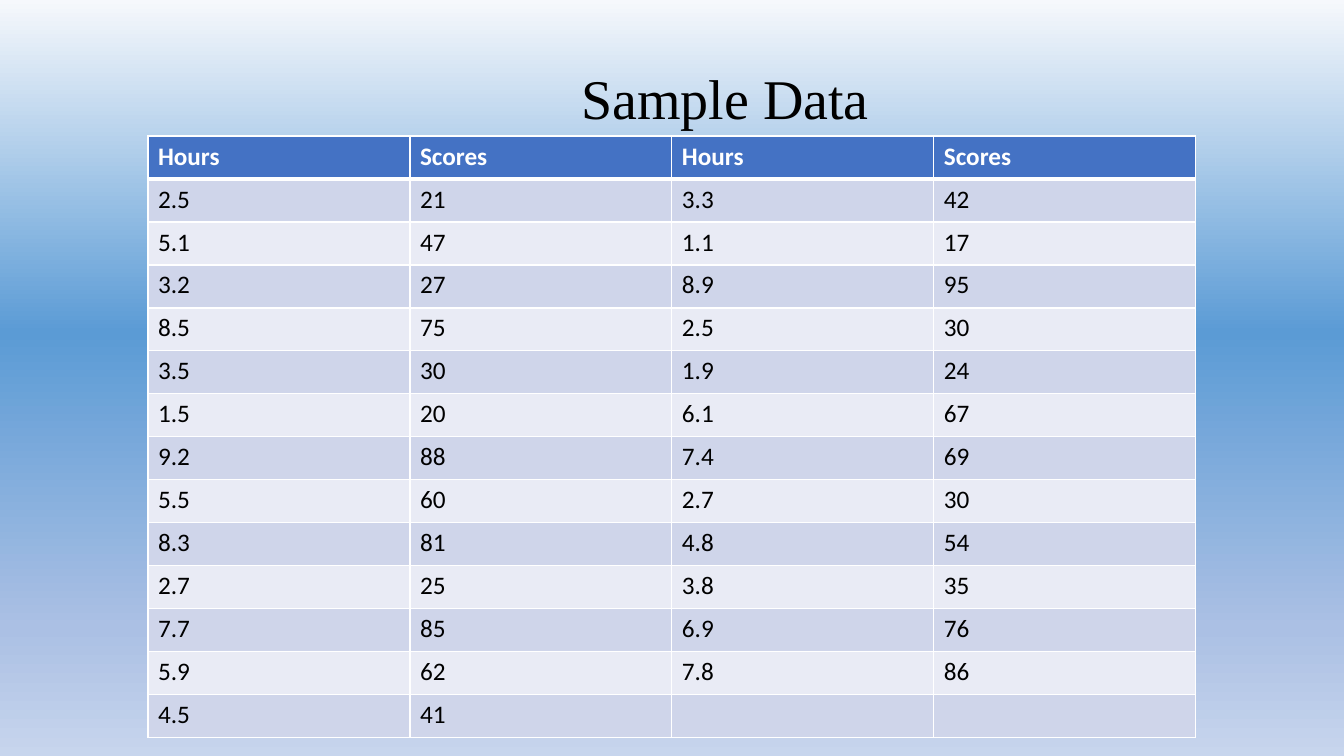
import copy

import pptx
import pptx.dml.color
import pptx.enum.text
import pptx.oxml
import pptx.oxml.ns
import pptx.util

EMU_PER_PIXEL = 914400 / 100.8
SLIDE_SIZE = (1344, 756)
TITLE_BOX = (570, 58, 310, 78)
TABLE_BOX = (148, 136, 1048, 602)
SKY_STOPS = [(0, "F6F8FC"), (44, "5B9BD5"), (83, "ABC0E4"), (100, "C7D5ED")]
HEADER_FILL = "4472C4"
BAND_FILLS = ["CFD5EA", "E9EBF5"]
HEADINGS = ["Hours", "Scores"] * 2
STUDY_RESULTS = [
    ("2.5", "21"), ("5.1", "47"), ("3.2", "27"), ("8.5", "75"), ("3.5", "30"),
    ("1.5", "20"), ("9.2", "88"), ("5.5", "60"), ("8.3", "81"), ("2.7", "25"),
    ("7.7", "85"), ("5.9", "62"), ("4.5", "41"), ("3.3", "42"), ("1.1", "17"),
    ("8.9", "95"), ("2.5", "30"), ("1.9", "24"), ("6.1", "67"), ("7.4", "69"),
    ("2.7", "30"), ("4.8", "54"), ("3.8", "35"), ("6.9", "76"), ("7.8", "86"),
]


def px(pixels):
    """Turn pixels into EMU."""
    return pptx.util.Emu(round(pixels * EMU_PER_PIXEL))


def color(hex_string):
    """Turn a hex string into a colour."""
    return pptx.dml.color.RGBColor.from_string(hex_string)


def style_font(font, name, size, hex_string, bold=False):
    """Set the face, size, colour and weight of a font."""
    font.name = name
    font.size = pptx.util.Pt(size)
    font.color.rgb = color(hex_string)
    font.bold = bold


def paint_background(slide):
    """Fill the slide with the vertical sky gradient."""
    sky = slide.background.fill
    sky.gradient()
    sky.gradient_angle = 270
    stop_list = slide.element.find(".//" + pptx.oxml.ns.qn("a:gsLst"))
    while len(stop_list) < len(SKY_STOPS):
        stop_list.append(copy.deepcopy(stop_list[0]))
    for stop, (percent, hex_string) in zip(sky.gradient_stops, SKY_STOPS):
        stop.position = percent / 100
        stop.color.rgb = color(hex_string)


def add_title(slide, box):
    """Place the slide title in the box."""
    title = slide.shapes.title
    title.left, title.top, title.width, title.height = map(px, box)
    frame = title.text_frame
    frame.text = "Sample Data"
    frame.word_wrap = True
    frame.auto_size = pptx.enum.text.MSO_AUTO_SIZE.SHAPE_TO_FIT_TEXT
    frame.vertical_anchor = pptx.enum.text.MSO_ANCHOR.TOP
    heading = frame.paragraphs[0]
    heading.alignment = pptx.enum.text.PP_ALIGN.CENTER
    style_font(heading.font, "Times New Roman", 40, "000000")


def set_borders(cell, top, bottom):
    """Draw white cell borders, with top and bottom widths in points."""
    properties = cell._tc.get_or_add_tcPr()
    widths = {"lnL": 1, "lnR": 1, "lnT": top, "lnB": bottom}
    for index, (side, width) in enumerate(widths.items()):
        properties.insert(index, pptx.oxml.parse_xml(
            f'<a:{side} {pptx.oxml.ns.nsdecls("a")} w="{pptx.util.Pt(width)}">'
            f'<a:solidFill><a:srgbClr val="FFFFFF"/></a:solidFill></a:{side}>'))


def add_results_table(slide, box):
    """Place the results in two side-by-side halves filling the box."""
    half = (len(STUDY_RESULTS) + 1) // 2
    left_half = STUDY_RESULTS[:half]
    right_half = STUDY_RESULTS[half:] + [("", "")] * (len(STUDY_RESULTS) % 2)
    rows = [HEADINGS] + [a + b for a, b in zip(left_half, right_half)]
    left, top, width, height = box
    results = slide.shapes.add_table(
        len(rows), len(HEADINGS), *map(px, box)).table
    for column in results.columns:
        column.width = px(width / len(HEADINGS))
    for row_index, values in enumerate(rows):
        results.rows[row_index].height = px(height / len(rows))
        is_header = row_index == 0
        fill = HEADER_FILL if is_header else BAND_FILLS[(row_index - 1) % 2]
        for cell, value in zip(results.rows[row_index].cells, values):
            cell.text = value
            cell.fill.solid()
            cell.fill.fore_color.rgb = color(fill)
            style_font(cell.text_frame.paragraphs[0].font, "Calibri", 18,
                       "FFFFFF" if is_header else "000000", is_header)
            set_borders(cell, top=3 if row_index == 1 else 1,
                        bottom=3 if is_header else 1)


def build_sample_data(presentation):
    """Add the sample data slide."""
    slide = presentation.slides.add_slide(presentation.slide_layouts[5])
    paint_background(slide)
    add_title(slide, TITLE_BOX)
    add_results_table(slide, TABLE_BOX)


presentation = pptx.Presentation()
presentation.slide_width, presentation.slide_height = map(px, SLIDE_SIZE)
build_sample_data(presentation)
presentation.save("out.pptx")
